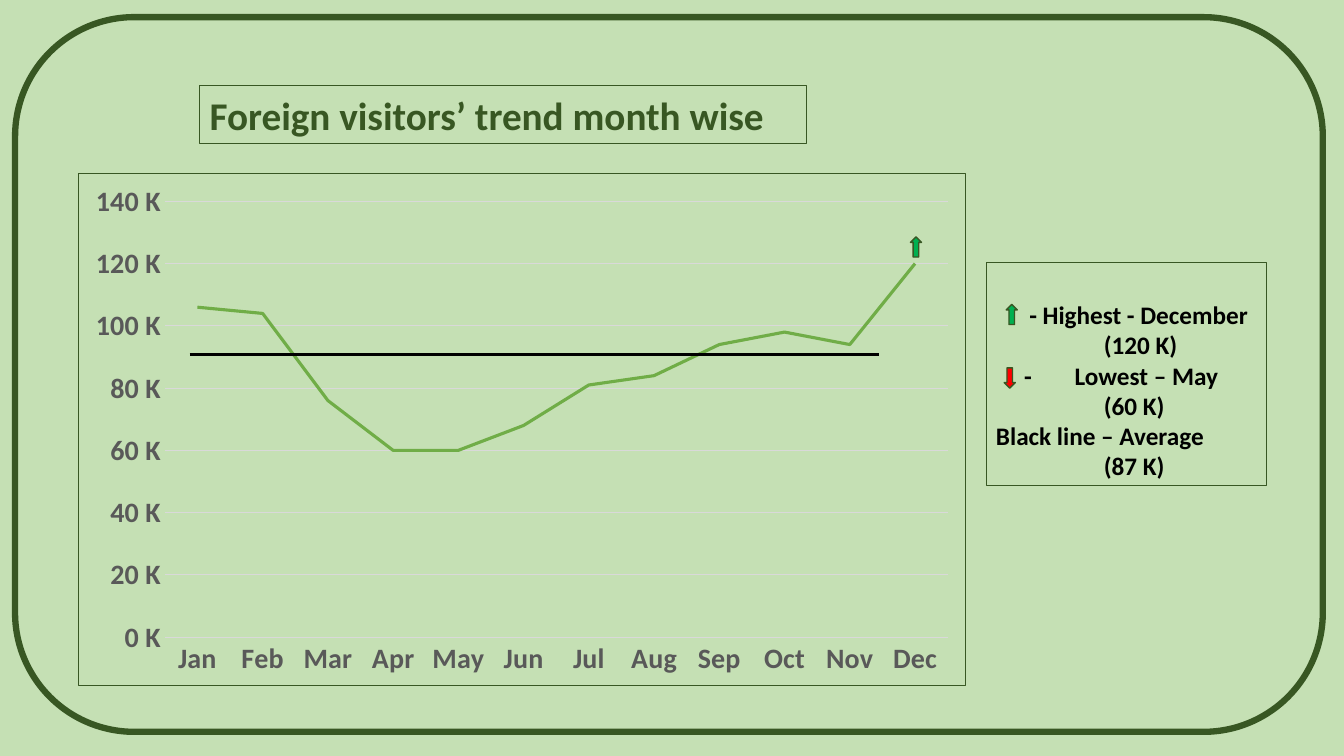
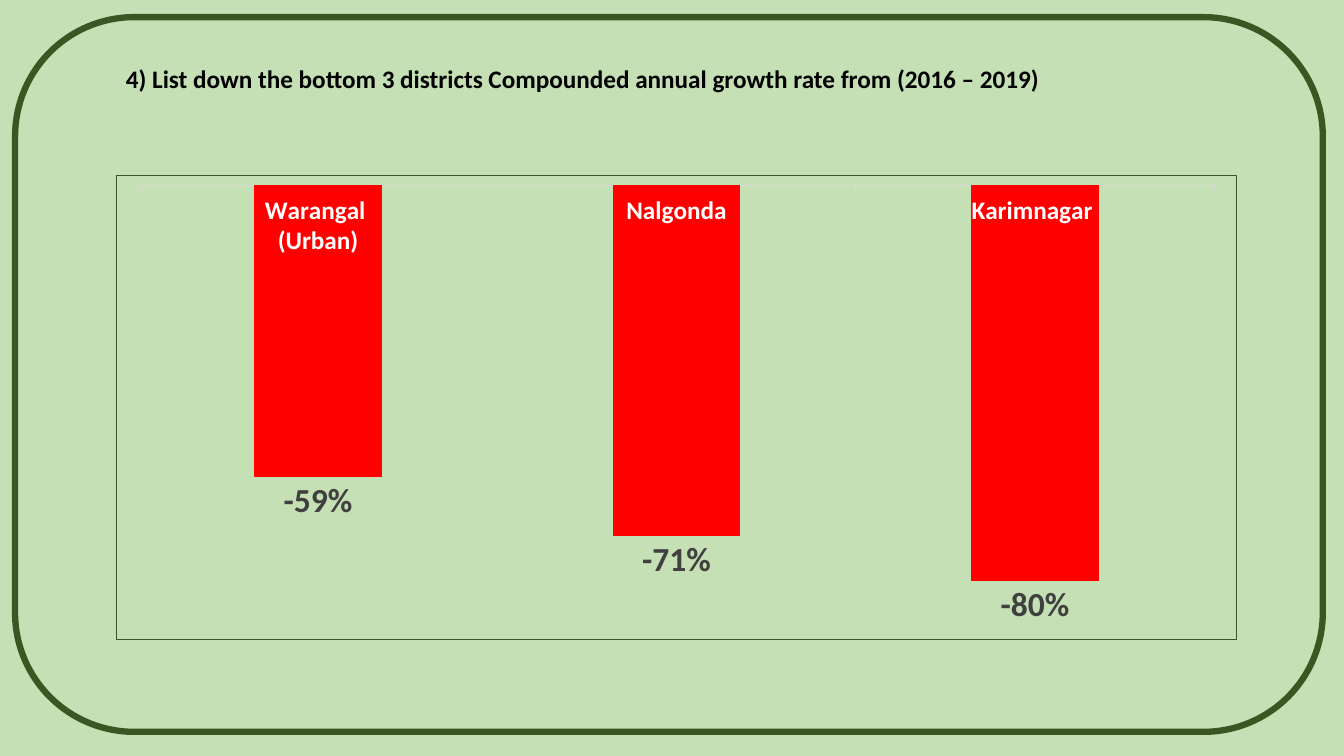
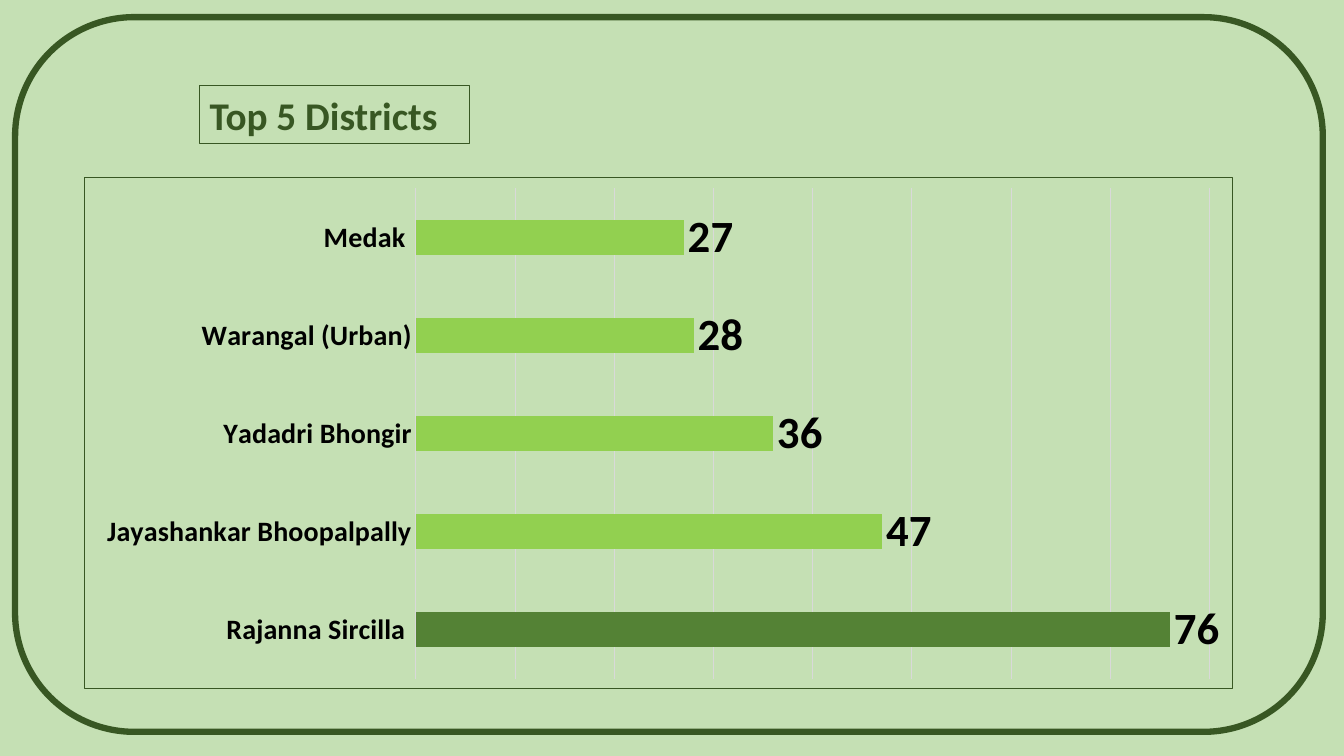
from lxml import etree
from pptx import Presentation
from pptx.chart.data import CategoryChartData
from pptx.dml.color import RGBColor
from pptx.enum.chart import XL_CHART_TYPE as ChartType, XL_LABEL_POSITION as LabelPosition, XL_TICK_MARK as TickMark
from pptx.enum.shapes import MSO_CONNECTOR as Connector, MSO_SHAPE as Preset
from pptx.enum.text import MSO_ANCHOR as Anchor, PP_ALIGN as Align
from pptx.oxml import parse_xml
from pptx.oxml.ns import nsdecls, qn
from pptx.util import Inches, Pt

FONT = "Calibri"
BACKGROUND, BORDER, GRID = "C5E0B4", "385723", "D9D9D9"
BLACK, WHITE, RED = "000000", "FFFFFF", "FF0000"
UP_GREEN, LINE_GREEN, BAR_GREEN, TOP_GREEN = "00B050", "70AD47", "92D050", "548235"
AXIS_GREY, LABEL_GREY = "595959", "404040"

VISITORS = {
    "Jan": 106000, "Feb": 104000, "Mar": 76000, "Apr": 60000,
    "May": 60000, "Jun": 68000, "Jul": 81000, "Aug": 84000,
    "Sep": 94000, "Oct": 98000, "Nov": 94000, "Dec": 120000,
}
BOTTOM_GROWTH = {"Warangal \n(Urban)": -0.59, "Nalgonda": -0.71, "Karimnagar ": -0.8}
TOP_DISTRICTS = {
    "Rajanna Sircilla ": 76, "Jayashankar Bhoopalpally": 47,
    "Yadadri Bhongir": 36, "Warangal (Urban)": 28, "Medak ": 27,
}
KEY_VALUE_INDENT, KEY_TAB = 1.07, 0.59
KEY_LINES = [
    (0.33, "- Highest - December"),
    (KEY_VALUE_INDENT, "(120 K)"),
    (0.28, "-\tLowest – May"),
    (KEY_VALUE_INDENT, "(60 K)"),
    (0, "Black line – Average"),
    (KEY_VALUE_INDENT, "(87 K)"),
]
ARROWS = [
    (Preset.UP_ARROW, 9.98, 3.02, UP_GREEN),
    (Preset.DOWN_ARROW, 9.96, 3.65, RED),
    (Preset.UP_ARROW, 9.03, 2.35, UP_GREEN),
]


def color(value):
    return RGBColor.from_string(value)


def style_font(font, size, value, bold=True):
    font.name, font.size, font.bold = FONT, Pt(size), bold
    font.color.rgb = color(value)


def style_line(line, value, width):
    line.color.rgb = color(value)
    line.width = Pt(width)


def add_box(slide, preset, box, fill=None, border=BORDER, width=0.75):
    shape = slide.shapes.add_shape(preset, *map(Inches, box))
    shape.shadow.inherit = False
    if fill:
        shape.fill.solid()
        shape.fill.fore_color.rgb = color(fill)
    else:
        shape.fill.background()
    style_line(shape.line, border, width)
    return shape


def add_run(paragraph, text, size, value):
    paragraph.alignment = Align.LEFT
    run = paragraph.add_run()
    run.text = text
    style_font(run.font, size, value)


def add_framed_slide(presentation):
    slide = presentation.slides.add_slide(presentation.slide_layouts[6])
    add_box(slide, Preset.ROUNDED_RECTANGLE, (0.15, 0.17, 12.97, 7.09), width=4.5)
    return slide


def add_title(slide, text, width):
    shape = add_box(slide, Preset.RECTANGLE, (1.98, 0.85, width, 0.57))
    shape.text_frame.word_wrap = True
    add_run(shape.text_frame.paragraphs[0], text, 28, BORDER)


def add_bordered_chart(slide, kind, box, values, limits, step, grid, number_format):
    data = CategoryChartData()
    data.categories = list(values)
    data.add_series("Series 1", list(values.values()))
    chart = slide.shapes.add_chart(kind, *map(Inches, box), data).chart
    chart.has_legend = chart.has_title = False
    style_font(chart.font, 10, BLACK, False)

    space = chart.element
    space.find(qn("c:chart")).addnext(parse_xml(
        f'<c:spPr {nsdecls("c", "a")}><a:noFill/><a:ln w="{Pt(0.75)}"><a:solidFill>'
        f'<a:srgbClr val="{BORDER}"/></a:solidFill></a:ln></c:spPr>'))
    if space.find(qn("c:roundedCorners")) is None:
        space.find(qn("c:date1904")).addnext(
            parse_xml(f'<c:roundedCorners {nsdecls("c")} val="0"/>'))

    axis = chart.value_axis
    axis.minimum_scale, axis.maximum_scale = limits
    axis.major_unit = step
    axis.major_tick_mark = TickMark.NONE
    axis.format.line.fill.background()
    axis.has_major_gridlines = grid
    if grid:
        style_line(axis.major_gridlines.format.line, GRID, 0.75)
    axis.tick_labels.number_format = number_format
    axis.tick_labels.number_format_is_linked = False
    return chart


def style_categories(chart, size, value, tick=TickMark.NONE):
    axis = chart.category_axis
    axis.major_tick_mark = tick
    style_line(axis.format.line, GRID, 0.75)
    style_font(axis.tick_labels.font, size, value)


def style_bars(chart, fill, label_size, label_color, number_format):
    chart.value_axis.visible = False
    plot = chart.plots[0]
    plot.gap_width = 182
    plot.vary_by_categories = False
    series = plot.series[0]
    series.invert_if_negative = False
    series.format.fill.solid()
    series.format.fill.fore_color.rgb = color(fill)
    labels = series.data_labels
    labels.show_value = True
    labels.position = LabelPosition.OUTSIDE_END
    labels.number_format = number_format
    labels.number_format_is_linked = False
    style_font(labels.font, label_size, label_color)
    return series


def add_key(slide):
    frame = add_box(slide, Preset.RECTANGLE, (9.78, 2.6, 2.78, 2.22)).text_frame
    frame.word_wrap = True
    frame.vertical_anchor = Anchor.BOTTOM
    for index, (indent, text) in enumerate(KEY_LINES):
        paragraph = frame.add_paragraph() if index else frame.paragraphs[0]
        properties = paragraph._p.get_or_add_pPr()
        properties.set("marL", str(Inches(indent)))
        properties.set("indent", "0")
        if "\t" in text:
            tabs = etree.SubElement(properties, qn("a:tabLst"))
            etree.SubElement(tabs, qn("a:tab"), pos=str(Inches(KEY_TAB)), algn="l")
        add_run(paragraph, text, 18, BLACK)


def build_visitors(presentation):
    slide = add_framed_slide(presentation)
    chart = add_bordered_chart(slide, ChartType.LINE, (0.77, 1.72, 8.81, 5.09), VISITORS,
                               (0, 140000), 20000, True, '0,\\ "K"')
    style_categories(chart, 20, AXIS_GREY)
    style_font(chart.value_axis.tick_labels.font, 20, AXIS_GREY)
    chart.plots[0].vary_by_categories = False
    series = chart.plots[0].series[0]
    series.smooth = False
    style_line(series.format.line, LINE_GREEN, 2.25)

    average = slide.shapes.add_connector(
        Connector.STRAIGHT, *map(Inches, (1.88, 3.52, 8.72, 3.52)))
    style_line(average.line, BLACK, 2.25)
    etree.SubElement(average._element.spPr, qn("a:effectLst"))

    add_title(slide, "Foreign visitors’ trend month wise", 6.02)
    add_key(slide)
    for preset, left, top, fill in ARROWS:
        add_box(slide, preset, (left, top, 0.11, 0.2), fill, width=1)


def build_bottom_growth(presentation):
    slide = add_framed_slide(presentation)
    question = slide.shapes.add_textbox(*map(Inches, (1.15, 0.58, 11.28, 0.4))).text_frame
    question.word_wrap = True
    add_run(question.paragraphs[0],
            "4) List down the bottom 3 districts Compounded annual growth rate from (2016 – 2019)",
            18, BLACK)
    chart = add_bordered_chart(slide, ChartType.COLUMN_CLUSTERED, (1.15, 1.74, 11.12, 4.61),
                               BOTTOM_GROWTH, (-0.9, 0), 0.1, False, "0%")
    style_categories(chart, 18, WHITE, TickMark.OUTSIDE)
    style_bars(chart, RED, 24, LABEL_GREY, "0%")


def build_top_districts(presentation):
    slide = add_framed_slide(presentation)
    chart = add_bordered_chart(slide, ChartType.BAR_CLUSTERED, (0.83, 1.76, 11.4, 5.08),
                               TOP_DISTRICTS, (0, 80), 10, True, "0")
    style_categories(chart, 20, BLACK)
    series = style_bars(chart, BAR_GREEN, 32, BLACK, "0")
    leader = series.points[0].format.fill
    leader.solid()
    leader.fore_color.rgb = color(TOP_GREEN)
    add_title(slide, "Top 5 Districts", 2.68)


def main():
    presentation = Presentation()
    presentation.slide_width, presentation.slide_height = Inches(13.33), Inches(7.5)
    background = presentation.slide_master.background.fill
    background.solid()
    background.fore_color.rgb = color(BACKGROUND)
    build_visitors(presentation)
    build_bottom_growth(presentation)
    build_top_districts(presentation)
    presentation.save("out.pptx")


if __name__ == "__main__":
    main()
